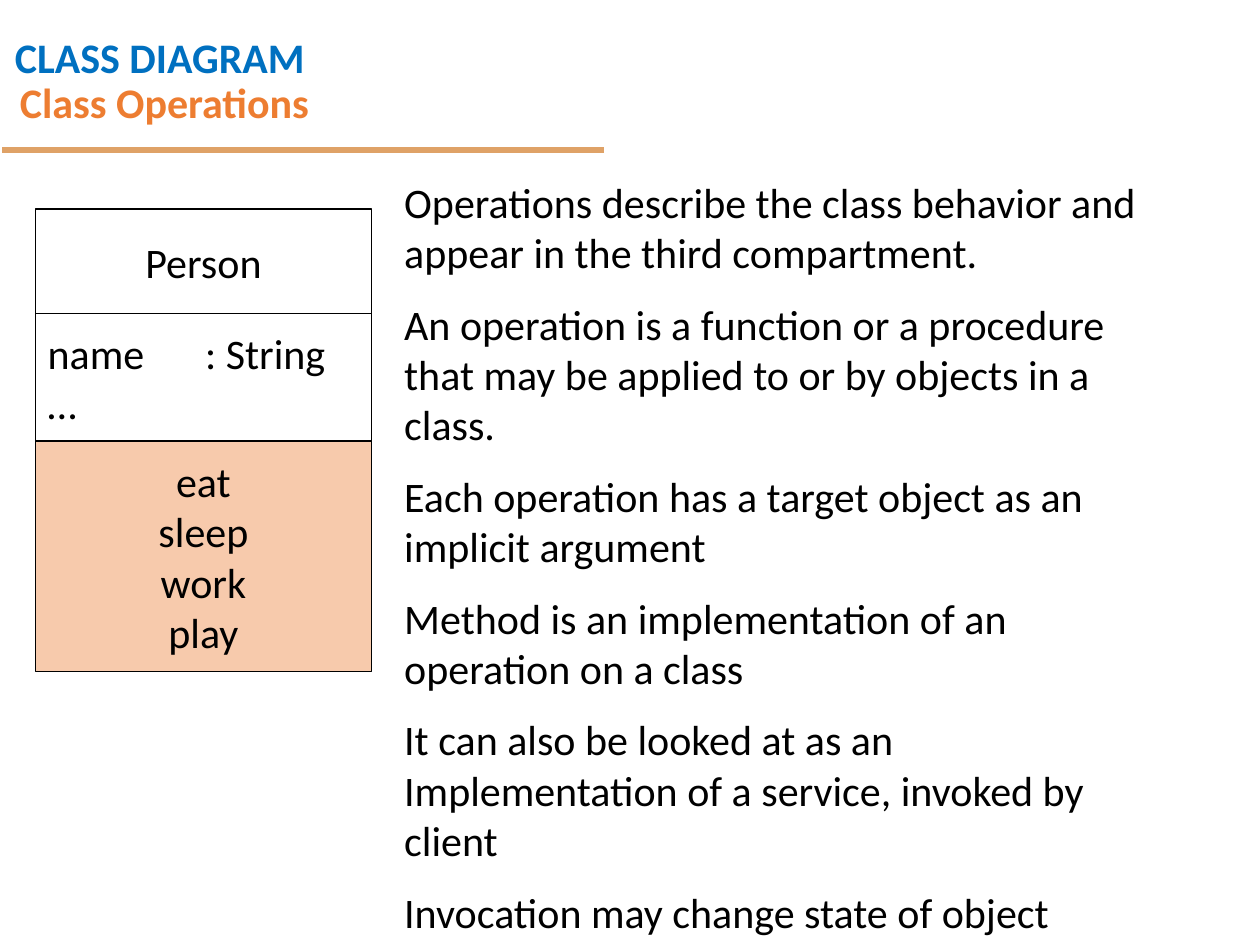
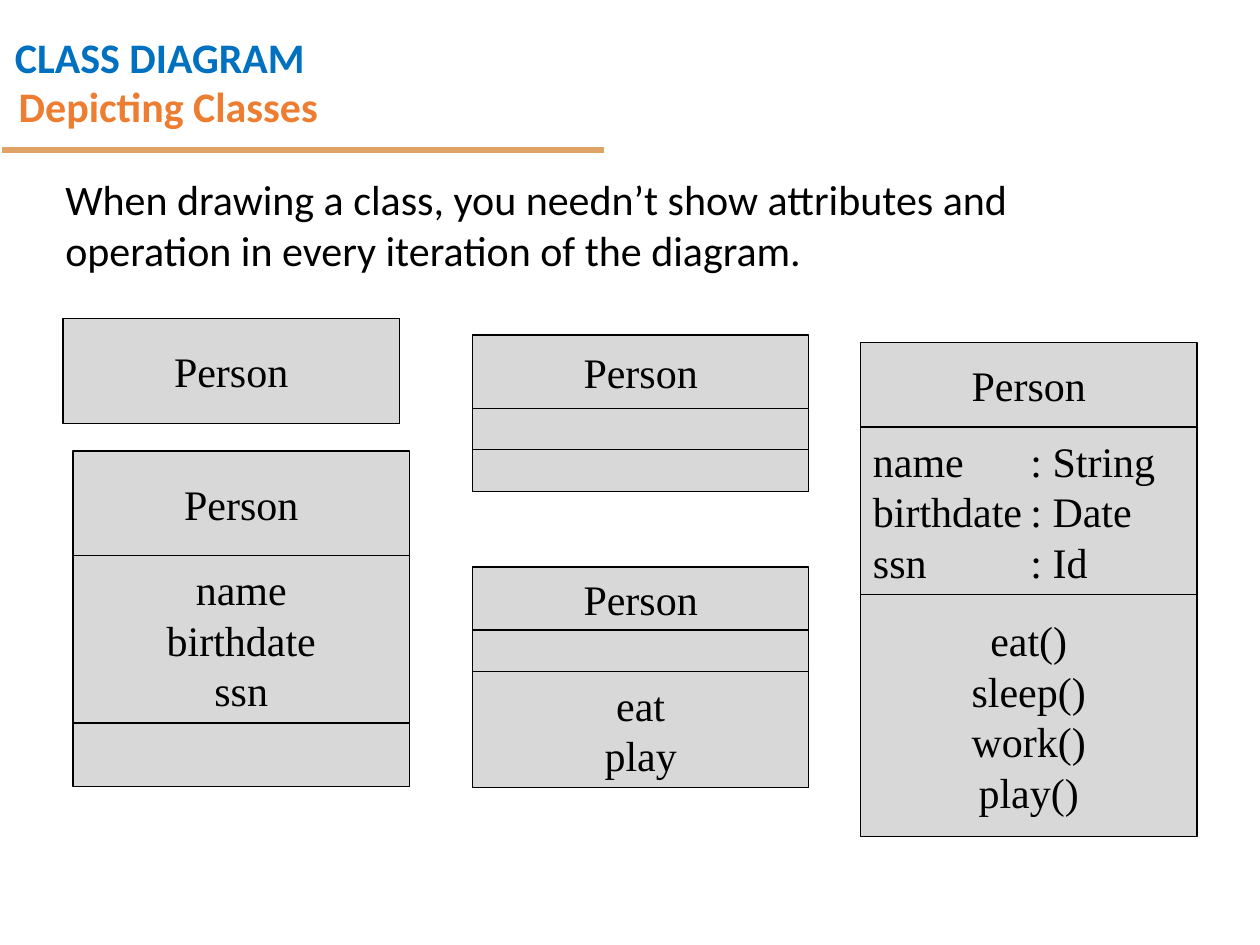
from lxml import etree
from pptx import Presentation
from pptx.dml.color import RGBColor
from pptx.enum import shapes, text
from pptx.oxml import ns
from pptx.util import Inches, Pt

BLUE, ORANGE, TAN = "0070C0", "ED7D31", "DFA267"
BLACK, WHITE, GRAY, PEACH = "000000", "FFFFFF", "D8D8D8", "F7CAAC"
SANS, SERIF = "Calibri", "Times New Roman"
TEXT_SIZE = 24
CLASS_WIDTH = 2.67
TYPE_TAB = 1.25  # where ": Type" starts within an attribute line

LEFT, CENTER = text.PP_ALIGN.LEFT, text.PP_ALIGN.CENTER
TOP, MIDDLE = text.MSO_ANCHOR.TOP, text.MSO_ANCHOR.MIDDLE


def color(hex_string):
    return RGBColor.from_string(hex_string)


def add_type_tab(paragraph):
    properties = paragraph._p.get_or_add_pPr()
    tabs = etree.SubElement(properties, ns.qn("a:tabLst"))
    etree.SubElement(tabs, ns.qn("a:tab"), pos=str(Inches(TYPE_TAB)), algn="l")


def write_lines(frame, lines, font=SANS, ink=BLACK, bold=False, align=LEFT,
                anchor=TOP, line_spacing=None, gap=0):
    """Fill a text frame with one paragraph per line, gap points apart."""
    frame.word_wrap = True
    frame.vertical_anchor = anchor
    for index, line in enumerate(lines):
        paragraph = frame.add_paragraph() if index else frame.paragraphs[0]
        paragraph.text = line
        paragraph.alignment = align
        if line_spacing:
            paragraph.line_spacing = line_spacing
        if index and gap:
            paragraph.space_before = Pt(gap)
        if "\t" in line:
            add_type_tab(paragraph)
        for run in paragraph.runs:
            run.font.name = font
            run.font.size = Pt(TEXT_SIZE)
            run.font.bold = bold
            run.font.color.rgb = color(ink)


def add_text(slide, left, top, width, height, lines, **style):
    box = slide.shapes.add_textbox(
        Inches(left), Inches(top), Inches(width), Inches(height))
    write_lines(box.text_frame, lines, **style)


def add_header(slide, title, left, top):
    add_text(slide, 0.02, 0, 7.4, 0.71, ["CLASS DIAGRAM"],
             ink=BLUE, bold=True, line_spacing=1.5)
    rule = slide.shapes.add_connector(
        shapes.MSO_CONNECTOR.STRAIGHT,
        Inches(0.02), Inches(1.19), Inches(4.79), Inches(1.19))
    rule.line.color.rgb = color(TAN)
    rule.line.width = Pt(3)
    etree.SubElement(rule._element.spPr, ns.qn("a:effectLst"))
    add_text(slide, left, top, 8.58, 0.58, [title],
             ink=ORANGE, bold=True, anchor=MIDDLE, line_spacing=0.9)


def add_class(slide, left, top, compartments, font=SERIF):
    """Stack (height, lines, fill) compartments; typed attributes go left."""
    group = slide.shapes.add_group_shape()
    for height, lines, fill in compartments:
        box = group.shapes.add_shape(
            shapes.MSO_SHAPE.RECTANGLE,
            Inches(left), Inches(top), Inches(CLASS_WIDTH), Inches(height))
        box.shadow.inherit = False
        box.fill.solid()
        box.fill.fore_color.rgb = color(fill)
        box.line.color.rgb = color(BLACK)
        box.line.width = Pt(0.75)
        typed = any("\t" in line for line in lines)
        write_lines(box.text_frame, lines, font=font, anchor=MIDDLE,
                    align=LEFT if typed else CENTER)
        top += height


def add_operations_slide(presentation):
    slide = presentation.slides.add_slide(presentation.slide_layouts[6])
    add_header(slide, "Class Operations", 0.06, 0.54)
    add_class(slide, 0.28, 1.66, [
        (0.83, ["Person"], WHITE),
        (1.01, ["name\t: String", "…"], WHITE),
        (1.83, ["eat", "sleep", "work", "play"], PEACH),
    ], font=SANS)
    add_text(slide, 3.11, 1.35, 6.26, 6.19, [
        "Operations describe the class behavior and appear in the third "
        "compartment.",
        "An operation is a function or a procedure that may be applied to "
        "or by objects in a class.",
        "Each operation has a target object as an implicit argument",
        "Method is an implementation of an operation on a class",
        "It can also be looked at as an Implementation of a service, "
        "invoked by client",
        "Invocation may change state of object",
    ], gap=12)


def add_depiction_slide(presentation):
    slide = presentation.slides.add_slide(presentation.slide_layouts[6])
    add_header(slide, "Depicting Classes", 0.05, 0.57)
    add_text(slide, 0.42, 1.33, 8.26, 0.91, [
        "When drawing a class, you needn’t show attributes and operation in "
        "every iteration of the diagram."])
    name = ["Person"]
    depictions = [
        (0.5, 2.53, [(0.83, name)]),
        (0.58, 3.58, [(0.83, name), (1.33, ["name", "birthdate", "ssn"]),
                      (0.5, [])]),
        (3.75, 2.66, [(0.58, name), (0.33, []), (0.33, [])]),
        (3.75, 4.5, [(0.5, name), (0.33, []), (0.92, ["eat", "play"])]),
        (6.83, 2.72, [
            (0.67, name),
            (1.33, ["name\t: String", "birthdate\t: Date", "ssn\t: Id"]),
            (1.92, ["eat()", "sleep()", "work()", "play()"])]),
    ]
    for left, top, compartments in depictions:
        add_class(slide, left, top,
                  [(height, lines, GRAY) for height, lines in compartments])


def main():
    presentation = Presentation()
    presentation.slide_width = Inches(10)
    presentation.slide_height = Inches(7.5)
    add_operations_slide(presentation)
    add_depiction_slide(presentation)
    presentation.save("out.pptx")


if __name__ == "__main__":
    main()
